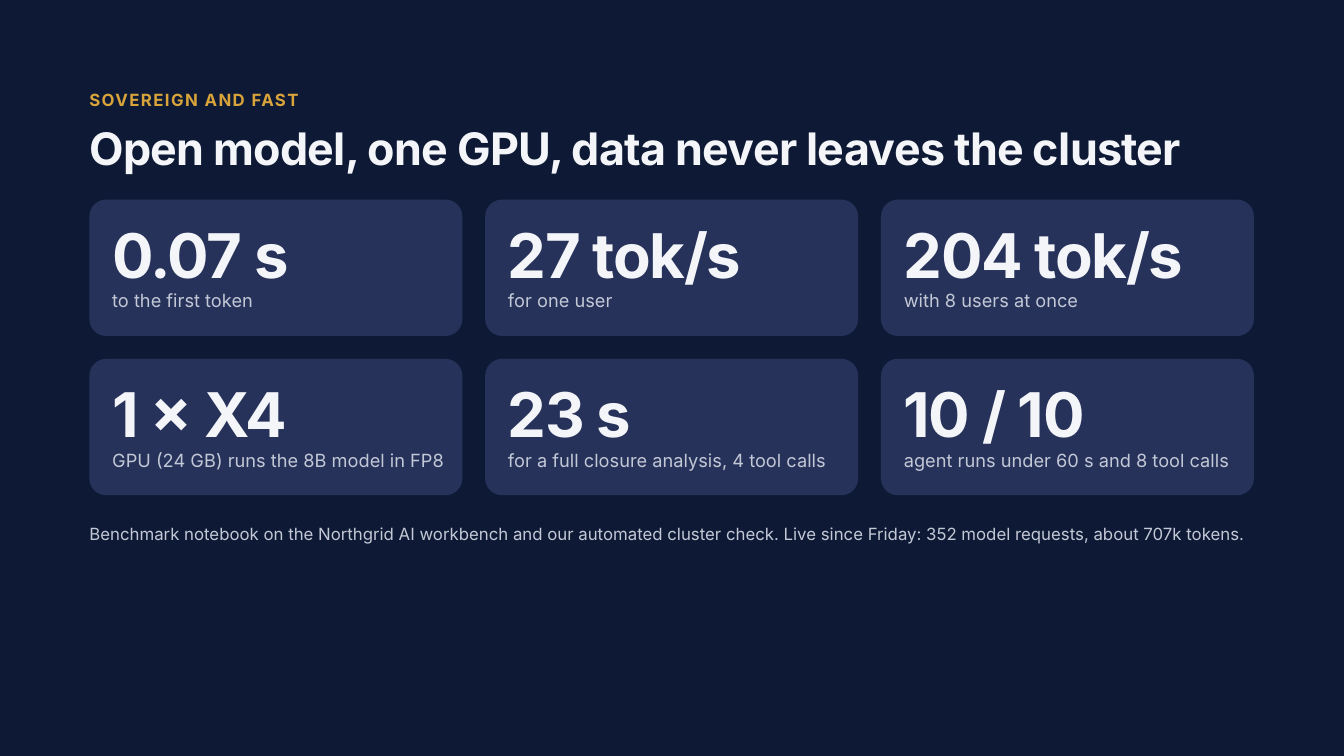
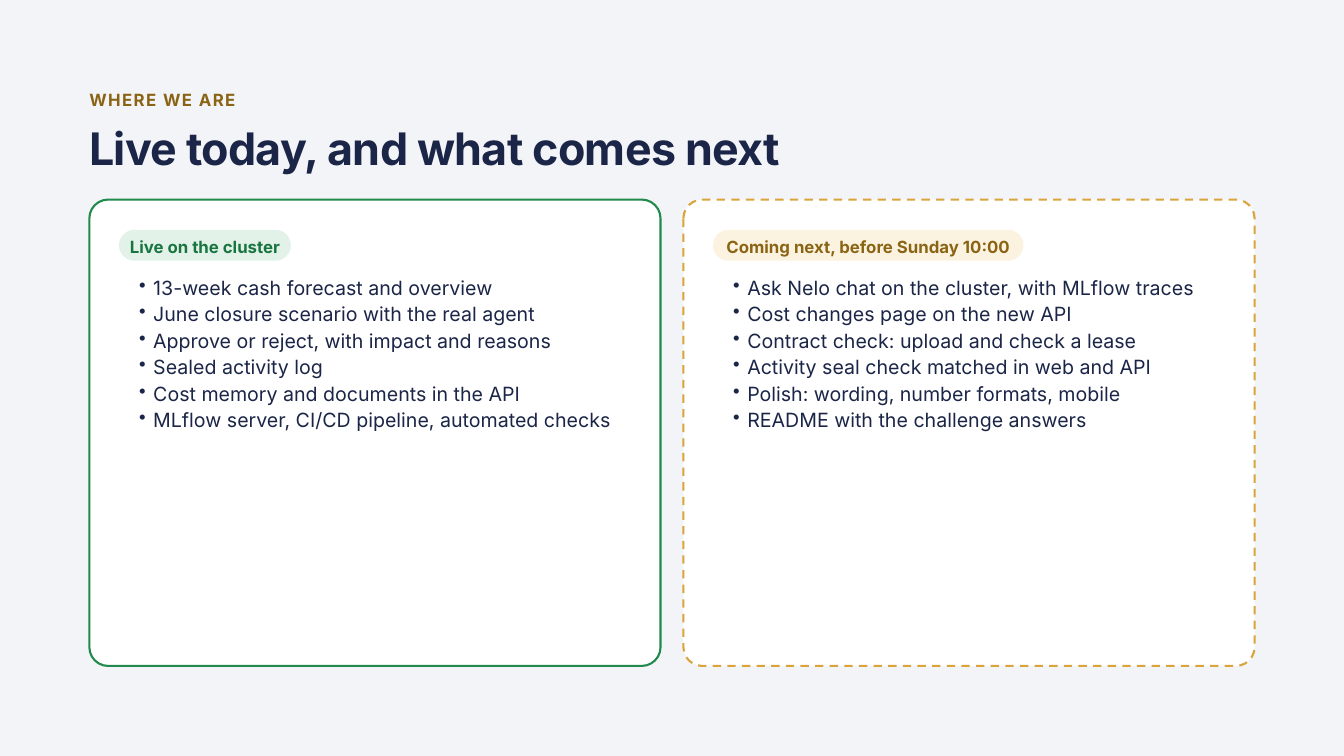
from lxml import etree
from pptx import Presentation
from pptx.dml.color import RGBColor
from pptx.enum.dml import MSO_LINE
from pptx.enum.shapes import MSO_SHAPE
from pptx.enum.text import MSO_ANCHOR, MSO_AUTO_SIZE, PP_ALIGN
from pptx.oxml.ns import qn
from pptx.util import Inches, Pt

ROUNDED = MSO_SHAPE.ROUNDED_RECTANGLE
DASH = MSO_LINE.DASH
TOP, MIDDLE = MSO_ANCHOR.TOP, MSO_ANCHOR.MIDDLE
GROW = MSO_AUTO_SIZE.SHAPE_TO_FIT_TEXT
LEFT, CENTER = PP_ALIGN.LEFT, PP_ALIGN.CENTER
TITLE_ONLY = 5

FONT = "Inter"
NIGHT = RGBColor(0x0E, 0x1A, 0x35)
INDIGO = RGBColor(0x26, 0x32, 0x5A)
MIST = RGBColor(0xC3, 0xC8, 0xD6)
SNOW = RGBColor(0xF4, 0xF5, 0xF9)
PAPER = RGBColor(0xF3, 0xF4, 0xF7)
WHITE = RGBColor(0xFF, 0xFF, 0xFF)
NAVY = RGBColor(0x1B, 0x25, 0x47)
GOLD = RGBColor(0xD9, 0xA4, 0x3A)
BRONZE = RGBColor(0x8A, 0x64, 0x14)
CREAM = RGBColor(0xFB, 0xF3, 0xDF)
GREEN = RGBColor(0x1F, 0x8A, 0x4C)
FOREST = RGBColor(0x18, 0x75, 0x3F)
MINT = RGBColor(0xE3, 0xF2, 0xE9)

# Shared grid, in inches
MARGIN, BODY_TOP, GAP = 1.33, 2.97, 0.34
CARD_W, CARD_H = 5.55, 2.03
PANEL_W, PANEL_H = 8.5, 6.94
COLUMNS = 3

STATS = [
    ("0.07 s", "to the first token"),
    ("27 tok/s", "for one user"),
    ("204 tok/s", "with 8 users at once"),
    ("1 × X4", "GPU (24 GB) runs the 8B model in FP8"),
    ("23 s", "for a full closure analysis, 4 tool calls"),
    ("10 / 10", "agent runs under 60 s and 8 tool calls"),
]
FOOTNOTE = ("Benchmark notebook on the Northgrid AI workbench and our automated "
            "cluster check. Live since Friday: 352 model requests, about 707k tokens.")
LIVE = [
    "13-week cash forecast and overview",
    "June closure scenario with the real agent",
    "Approve or reject, with impact and reasons",
    "Sealed activity log",
    "Cost memory and documents in the API",
    "MLflow server, CI/CD pipeline, automated checks",
]
NEXT = [
    "Ask Nelo chat on the cluster, with MLflow traces",
    "Cost changes page on the new API",
    "Contract check: upload and check a lease",
    "Activity seal check matched in web and API",
    "Polish: wording, number formats, mobile",
    "README with the challenge answers",
]


def set_frame(tf, anchor=TOP, inset=0.0):
    tf.word_wrap = True
    tf.vertical_anchor = anchor
    tf.margin_left = tf.margin_right = Inches(inset)
    tf.margin_top = tf.margin_bottom = Inches(inset)


def write(p, text, size, color, leading, bold=False, spacing=0, align=LEFT):
    p.alignment = align
    p.line_spacing = Pt(leading)
    p.space_before = Pt(0)
    r = p.add_run()
    r.text = text
    r.font.name = FONT
    r.font.size = Pt(size)
    r.font.bold = bold
    r.font.color.rgb = color
    if spacing:
        r.font._element.set("spc", str(round(spacing * 100)))


def add_text(slide, x, y, w, h):
    tf = slide.shapes.add_textbox(Inches(x), Inches(y), Inches(w), Inches(h)).text_frame
    set_frame(tf)
    tf.auto_size = GROW
    return tf


def add_rounded(slide, x, y, w, h, radius, fill, line=None, dash=None):
    sp = slide.shapes.add_shape(ROUNDED, Inches(x), Inches(y), Inches(w), Inches(h))
    sp.shadow.inherit = False
    sp.adjustments[0] = radius / min(w, h)
    sp.fill.solid()
    sp.fill.fore_color.rgb = fill
    if line is None:
        sp.line.fill.background()
    else:
        sp.line.color.rgb = line
        sp.line.width = Pt(2.25)
        if dash:
            sp.line.dash_style = dash
    return sp


def add_bullet(p):
    pPr = p._p.get_or_add_pPr()
    pPr.set("marL", str(Inches(0.42)))
    pPr.set("indent", str(Inches(-0.21)))
    etree.SubElement(pPr, qn("a:buChar")).set("char", "•")


def new_slide(prs, background, kicker, kicker_color, title, title_color):
    slide = prs.slides.add_slide(prs.slide_layouts[TITLE_ONLY])
    slide.background.fill.solid()
    slide.background.fill.fore_color.rgb = background
    # Kicker above the title
    tf = add_text(slide, MARGIN, 1.3, 17.85, 0.41)
    write(tf.paragraphs[0], kicker, 18, kicker_color, 24.3, bold=True, spacing=1.5)
    # Title placeholder
    sp = slide.shapes.title
    sp.left, sp.top = Inches(MARGIN), Inches(1.83)
    sp.width, sp.height = Inches(17.85), Inches(0.79)
    set_frame(sp.text_frame)
    sp.text_frame.auto_size = GROW
    write(sp.text_frame.paragraphs[0], title, 48, title_color, 55.2, bold=True, spacing=-0.8)
    return slide


def add_stat_card(slide, x, y, w, h, value, label):
    add_rounded(slide, x, y, w, h, 0.25, INDIGO)
    text_w = w - 0.51
    tf = add_text(slide, x + 0.34, y + 0.3, text_w, 1.06)
    write(tf.paragraphs[0], value, 66, SNOW, 75.9, bold=True, spacing=-1.5)
    tf = add_text(slide, x + 0.34, y + 1.3, text_w, 0.45)
    write(tf.paragraphs[0], label, 19.5, MIST, 26.3)


def add_status_panel(slide, x, y, w, h, line, dash, tag, tag_w, tag_fill, tag_color, items):
    add_rounded(slide, x, y, w, h, 0.28, WHITE, line, dash)
    # Pill with the status
    pill = add_rounded(slide, x + 0.44, y + 0.45, tag_w, 0.46, 0.23, tag_fill)
    tf = pill.text_frame
    set_frame(tf, MIDDLE, 0.06)
    write(tf.paragraphs[0], tag, 18, tag_color, 24.3, bold=True, align=CENTER)
    # Bulleted items
    tf = add_text(slide, x + 0.53, y + 1.09, w - 0.75, 3.06)
    for i, item in enumerate(items):
        p = tf.add_paragraph() if i else tf.paragraphs[0]
        p.level = 1
        add_bullet(p)
        write(p, item, 21, NAVY, 28.4)


def build_stats_slide(prs):
    slide = new_slide(prs, NIGHT, "SOVEREIGN AND FAST", GOLD,
                      "Open model, one GPU, data never leaves the cluster", SNOW)
    for i, (value, label) in enumerate(STATS):
        row, col = divmod(i, COLUMNS)
        add_stat_card(slide, MARGIN + col * (CARD_W + GAP), BODY_TOP + row * (CARD_H + GAP),
                      CARD_W, CARD_H, value, label)
    tf = add_text(slide, MARGIN, 7.76, 18.67, 0.41)
    write(tf.paragraphs[0], FOOTNOTE, 18, MIST, 24.3)


def build_status_slide(prs):
    slide = new_slide(prs, PAPER, "WHERE WE ARE", BRONZE,
                      "Live today, and what comes next", NAVY)
    panels = [
        (GREEN, None, "Live on the cluster", 2.56, MINT, FOREST, LIVE),
        (GOLD, DASH, "Coming next, before Sunday 10:00", 4.62, CREAM, BRONZE, NEXT),
    ]
    for i, panel in enumerate(panels):
        add_status_panel(slide, MARGIN + i * (PANEL_W + GAP), BODY_TOP, PANEL_W, PANEL_H, *panel)


def main():
    prs = Presentation()
    prs.slide_width, prs.slide_height = Inches(20), Inches(11.25)
    build_stats_slide(prs)
    build_status_slide(prs)
    prs.save("out.pptx")


if __name__ == "__main__":
    main()
